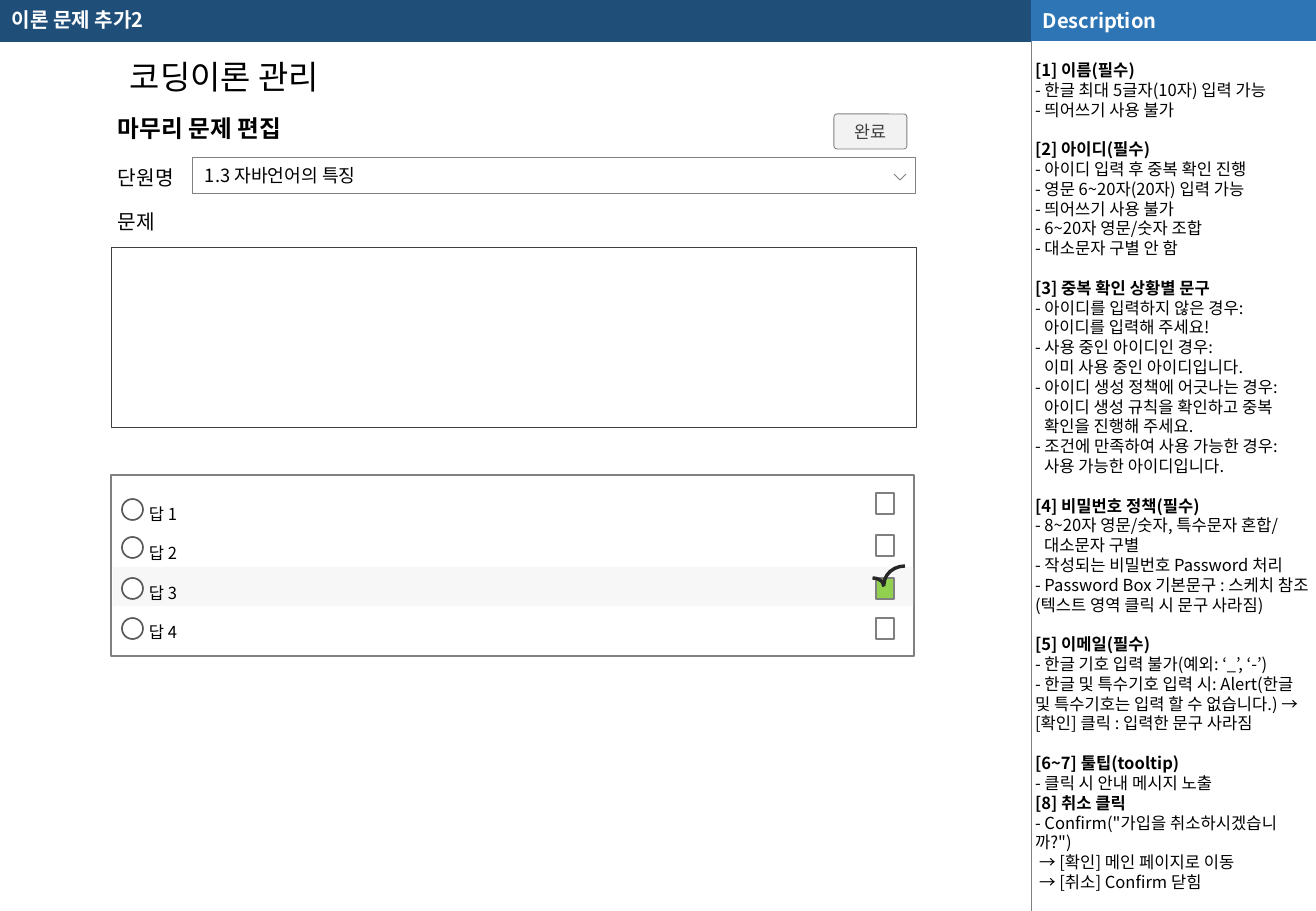
import pptx
import pptx.dml.color
import pptx.enum.shapes
import pptx.enum.text
import pptx.oxml.ns
import pptx.util
from lxml import etree

RGBColor = pptx.dml.color.RGBColor
Shape = pptx.enum.shapes.MSO_SHAPE
Align = pptx.enum.text.PP_ALIGN
Anchor = pptx.enum.text.MSO_ANCHOR

PX = 7526  # EMU per px
FONT = "Noto Sans CJK KR"
LINE_PITCH = 11.73

BLACK = RGBColor(0x00, 0x00, 0x00)
WHITE = RGBColor(0xFF, 0xFF, 0xFF)
NAVY = RGBColor(0x1F, 0x4E, 0x79)
BLUE = RGBColor(0x2E, 0x75, 0xB6)
GREEN = RGBColor(0x92, 0xD0, 0x50)
GRAY = RGBColor(0x80, 0x80, 0x80)
DARK_GRAY = RGBColor(0x40, 0x40, 0x40)
RING_GRAY = RGBColor(0x59, 0x59, 0x59)
TICK_GRAY = RGBColor(0x26, 0x26, 0x26)
ROW_GRAY = RGBColor(0xD9, 0xD9, 0xD9)
BUTTON_GRAY = RGBColor(0xF2, 0xF2, 0xF2)

# Heading and lines of each description section
DESCRIPTION = [
    ("[1] 이름(필수)", ["- 한글 최대 5글자(10자) 입력 가능", "- 띄어쓰기 사용 불가"]),
    ("[2] 아이디(필수)", [
        "- 아이디 입력 후 중복 확인 진행", "- 영문 6~20자(20자) 입력 가능",
        "- 띄어쓰기 사용 불가", "- 6~20자 영문/숫자 조합", "- 대소문자 구별 안 함"]),
    ("[3] 중복 확인 상황별 문구", [
        "- 아이디를 입력하지 않은 경우:", "아이디를 입력해 주세요!",
        "- 사용 중인 아이디인 경우:", "이미 사용 중인 아이디입니다.",
        "- 아이디 생성 정책에 어긋나는 경우:", "아이디 생성 규칙을 확인하고 중복",
        "확인을 진행해 주세요.",
        "- 조건에 만족하여 사용 가능한 경우:", "사용 가능한 아이디입니다."]),
    ("[4] 비밀번호 정책(필수)", [
        "- 8~20자 영문/숫자, 특수문자 혼합/", "대소문자 구별",
        "- 작성되는 비밀번호 Password 처리",
        "- Password Box 기본문구 : 스케치 참조 (텍스트 영역 클릭 시 문구 사라짐)"]),
    ("[5] 이메일(필수)", [
        "- 한글 기호 입력 불가(예외: ‘_’, ‘-’)",
        "- 한글 및 특수기호 입력 시: Alert(한글 및 특수기호는 입력 할 수 없습니다.)"
        " → [확인] 클릭 : 입력한 문구 사라짐"]),
    ("[6~7] 툴팁(tooltip)", ["- 클릭 시 안내 메시지 노출"]),
    ("[8] 취소 클릭", [
        '- Confirm("가입을 취소하시겠습니까?")',
        "→ [확인] 메인 페이지로 이동", "→ [취소] Confirm 닫힘"]),
]

# Answer, then tops of its row, ring and checkbox, and whether it is correct
ANSWERS = [
    ("답 1", 488, 499, 493, False),
    ("답 2", 527, 537, 535, False),
    ("답 3", 567, 578, 578, True),
    ("답 4", 606, 618, 618, False),
]


class Wireframe:
    def __init__(self, width, height):
        self.presentation = pptx.Presentation()
        self.presentation.slide_width = width * PX
        self.presentation.slide_height = height * PX
        self.slide = self.presentation.slides.add_slide(self.presentation.slide_layouts[6])

    def paint(self, shape, fill, line, line_width):
        shape.shadow.inherit = False
        if fill is None:
            shape.fill.background()
        else:
            shape.fill.solid()
            shape.fill.fore_color.rgb = fill
        if line is None:
            shape.line.fill.background()
        else:
            shape.line.color.rgb = line
            shape.line.width = pptx.util.Pt(line_width)
        return shape

    def shape(self, kind, box, fill=None, line=None, line_width=0.5):
        shape = self.slide.shapes.add_shape(kind, *(value * PX for value in box))
        return self.paint(shape, fill, line, line_width)

    def text_box(self, box):
        return self.slide.shapes.add_textbox(*(value * PX for value in box))

    def style_paragraph(self, paragraph, size, color, bold=False, indent=0):
        if indent:
            paragraph._p.get_or_add_pPr().set("marL", str(indent * PX))
        for run in paragraph.runs:
            run.font.size = pptx.util.Pt(size)
            run.font.bold = bold
            run.font.color.rgb = color
            run.font.name = FONT
            east_asian = etree.SubElement(run._r.get_or_add_rPr(), pptx.oxml.ns.qn("a:ea"))
            east_asian.set("typeface", FONT)

    def label(self, shape, text, size, color=BLACK, bold=False, align=Align.LEFT,
              anchor=Anchor.TOP, indent=0, spacing=1.0):
        frame = shape.text_frame
        frame.word_wrap = True
        frame.vertical_anchor = anchor
        frame.text = text
        paragraph = frame.paragraphs[0]
        paragraph.alignment = align
        paragraph.line_spacing = spacing
        self.style_paragraph(paragraph, size, color, bold, indent)

    def sections(self, box, sections):
        frame = self.text_box(box).text_frame
        frame.word_wrap = True
        frame.margin_left = frame.margin_right = 5 * PX
        frame.margin_top = frame.margin_bottom = 0
        paragraph = frame.paragraphs[0]
        for number, (heading, lines) in enumerate(sections):
            for position, text in enumerate([heading] + lines):
                if number or position:
                    paragraph = frame.add_paragraph()
                paragraph.text = text
                paragraph.line_spacing = pptx.util.Pt(LINE_PITCH)
                # Every section but the first and the last stands apart
                if position == 0 and 0 < number < len(sections) - 1:
                    paragraph.space_before = pptx.util.Pt(LINE_PITCH)
                indent = {"[": 0, "-": 0, "→": 4}.get(text[0], 9)
                self.style_paragraph(paragraph, 9.8, BLACK, position == 0, indent)

    def line(self, start, end, color, width):
        connector = self.slide.shapes.add_connector(
            pptx.enum.shapes.MSO_CONNECTOR.STRAIGHT, *(value * PX for value in start + end))
        connector.line.color.rgb = color
        connector.line.width = pptx.util.Pt(width)
        etree.SubElement(connector._element.spPr, pptx.oxml.ns.qn("a:effectLst"))

    def outline(self, points, fill, line):
        builder = self.slide.shapes.build_freeform(*points[0], scale=PX)
        builder.add_line_segments(points[1:], close=False)
        self.paint(builder.convert_to_shape(), fill, line, 0.5)

    def arc(self, box, start, end):
        arc = self.shape(Shape.ARC, box, line=TICK_GRAY, line_width=2)
        # Angles are in 60000ths of a degree, adjustments in 100000ths
        arc.adjustments[0] = start * 0.6
        arc.adjustments[1] = end * 0.6

    def transparent(self, shape, percent):
        color = shape._element.spPr.find(".//" + pptx.oxml.ns.qn("a:srgbClr"))
        etree.SubElement(color, pptx.oxml.ns.qn("a:alpha")).set("val", str(percent * 1000))


def main():
    page = Wireframe(1316, 911)

    # Header bar and description panel
    page.shape(Shape.RECTANGLE, (0, 0, 1031, 42), NAVY)
    page.line((1031, 41), (1031, 911), GRAY, 0.25)
    panel = page.shape(Shape.RECTANGLE, (1031, 0, 285, 41), BLUE)
    page.label(panel, "Description", 11.9, WHITE, True, anchor=Anchor.MIDDLE)
    page.label(page.text_box((0, 0, 1002, 42)), "이론 문제 추가2", 11.9, WHITE, True,
               anchor=Anchor.MIDDLE, spacing=0.9)
    page.sections((1030, 60, 286, 849), DESCRIPTION)

    # Titles and field labels
    page.label(page.text_box((87, 51, 275, 52)), "코딩이론 관리", 19.5, align=Align.CENTER)
    page.label(page.text_box((106, 108, 208, 41)), "마무리 문제 편집", 14, bold=True)
    for field, top in (("단원명", 159), ("문제", 203)):
        page.label(page.text_box((106, top, 86, 36)), field, 12)

    # Unit selector and question field
    selector = page.shape(Shape.RECTANGLE, (192, 157, 724, 36), WHITE, GRAY)
    page.label(selector, "1.3 자바언어의 특징", 10.8, anchor=Anchor.MIDDLE)
    selector.text_frame.margin_left = 13 * PX
    page.outline([(894, 174), (900, 180), (906, 174)], WHITE, GRAY)
    page.shape(Shape.RECTANGLE, (111, 247, 805, 181), WHITE, DARK_GRAY)

    # Answer list
    page.shape(Shape.RECTANGLE, (111, 475, 803, 181), line=GRAY, line_width=0.75)
    for text, row_top, ring_top, check_top, correct in ANSWERS:
        row = page.shape(Shape.RECTANGLE, (113, row_top, 801, 39), ROW_GRAY if correct else None)
        if correct:
            page.transparent(row, 20)
        page.label(row, text, 9.8, indent=24, spacing=1.5)
        page.shape(Shape.OVAL, (122, ring_top, 21, 21), WHITE, RING_GRAY, 1)
        page.shape(Shape.RECTANGLE, (876, check_top, 18, 21),
                   GREEN if correct else WHITE, GRAY, 1)

    # Tick on the correct answer
    page.arc((861, 578, 23, 17), 270, 0)
    page.arc((884, 566, 42, 37), 180, 270)

    # Done button
    button = page.shape(Shape.ROUNDED_RECTANGLE, (834, 114, 73, 35), BUTTON_GRAY, GRAY)
    button.adjustments[0] = 0.09
    page.label(button, "완료", 10.3, DARK_GRAY, align=Align.CENTER, anchor=Anchor.MIDDLE)

    page.presentation.save("out.pptx")


if __name__ == "__main__":
    main()
